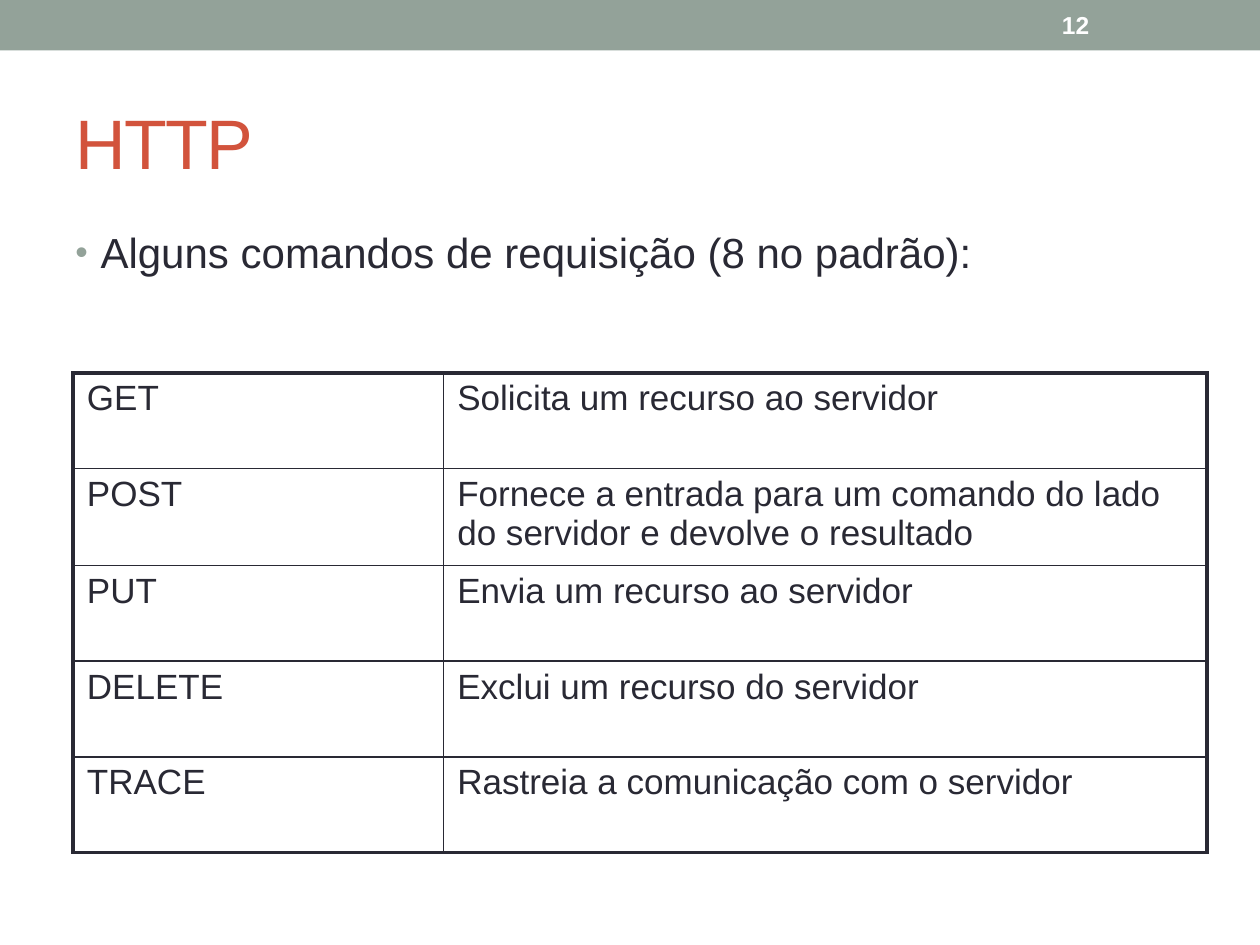
from lxml.etree import SubElement
from pptx import Presentation
from pptx.dml.color import RGBColor
from pptx.enum.shapes import MSO_SHAPE
from pptx.enum.text import MSO_ANCHOR
from pptx.oxml.ns import qn
from pptx.util import Inches, Pt

TITLE = "HTTP"
BULLET = "Alguns comandos de requisição (8 no padrão):"
PAGE_NUMBER = "12"
COMMANDS = [
    ("GET", "Solicita um recurso ao servidor"),
    ("POST", "Fornece a entrada para um comando do lado do servidor e devolve o resultado"),
    ("PUT", "Envia um recurso ao servidor"),
    ("DELETE", "Exclui um recurso do servidor"),
    ("TRACE", "Rastreia a comunicação com o servidor"),
]
COLUMN_WIDTHS = (2.94, 6.06)
ROW_HEIGHT = 0.76
INK, SAGE, RED, WHITE = "292934", "93A299", "D2533C", "FFFFFF"
OUTER_LINE, INNER_LINE = 2.25, 1


def color(value):
    return RGBColor.from_string(value)


def write(frame, text, size, ink, bold=False):
    para = frame.paragraphs[0]
    span = para.add_run()
    span.text = text
    span.font.name = "Arial"
    span.font.size = Pt(size)
    span.font.bold = bold
    span.font.color.rgb = color(ink)
    return para, span


def add_text(page, place, text, size, ink, anchor=MSO_ANCHOR.MIDDLE, bold=False):
    box = page.shapes.add_textbox(*map(Inches, place))
    box.text_frame.word_wrap = True
    box.text_frame.vertical_anchor = anchor
    return write(box.text_frame, text, size, ink, bold)


def add_bullet(para):
    properties = para._p.get_or_add_pPr()
    properties.set("marL", str(Inches(0.2)))
    properties.set("indent", str(-Inches(0.2)))
    bullet_color = SubElement(properties, qn("a:buClr"))
    SubElement(bullet_color, qn("a:srgbClr"), val=SAGE)
    SubElement(properties, qn("a:buSzPct"), val="85000")
    SubElement(properties, qn("a:buFont"), typeface="Arial")
    SubElement(properties, qn("a:buChar"), char="•")


def set_borders(cell, outer_sides):
    properties = cell._tc.get_or_add_tcPr()
    for position, (side, is_outer) in enumerate(outer_sides.items()):
        width = Pt(OUTER_LINE if is_outer else INNER_LINE)
        line = SubElement(properties, qn(f"a:ln{side}"), w=str(width))
        fill = SubElement(line, qn("a:solidFill"))
        SubElement(fill, qn("a:srgbClr"), val=INK)
        properties.insert(position, line)


def add_command_table(page):
    row_count, column_count = len(COMMANDS), len(COLUMN_WIDTHS)
    table = page.shapes.add_table(
        row_count, column_count, Inches(0.58), Inches(2.96),
        Inches(sum(COLUMN_WIDTHS)), Inches(ROW_HEIGHT * row_count),
    ).table
    table.first_row = table.horz_banding = False
    for column, width in zip(table.columns, COLUMN_WIDTHS):
        column.width = Inches(width)
    for row_index, texts in enumerate(COMMANDS):
        table.rows[row_index].height = Inches(ROW_HEIGHT)
        for column_index, text in enumerate(texts):
            cell = table.cell(row_index, column_index)
            cell.margin_left = cell.margin_right = Inches(0.11)
            cell.margin_top = cell.margin_bottom = Inches(0.05)
            cell.fill.background()
            write(cell.text_frame, text, 20, INK)
            set_borders(cell, {
                "L": column_index == 0,
                "R": column_index == column_count - 1,
                "T": row_index == 0,
                "B": row_index == row_count - 1,
            })


def main():
    deck = Presentation()
    deck.slide_width, deck.slide_height = Inches(10), Inches(7.5)
    page = deck.slides.add_slide(deck.slide_layouts[6])

    band = page.shapes.add_shape(MSO_SHAPE.RECTANGLE, 0, 0, Inches(10), Inches(0.4))
    band.shadow.inherit = False
    band.fill.solid()
    band.fill.fore_color.rgb = color(SAGE)
    band.line.fill.background()

    title_span = add_text(page, (0.5, 0.58, 9, 1.08), TITLE, 40, RED)[1]
    title_span.font._element.set("spc", "-100")
    bullet_para = add_text(page, (0.5, 1.75, 9, 5.33), BULLET, 24, INK, MSO_ANCHOR.TOP)[0]
    bullet_para.space_before = Pt(4.8)
    add_bullet(bullet_para)
    add_text(page, (8.33, 0.02, 1.17, 0.36), PAGE_NUMBER, 14, WHITE, bold=True)
    add_command_table(page)
    deck.save("out.pptx")


if __name__ == "__main__":
    main()
